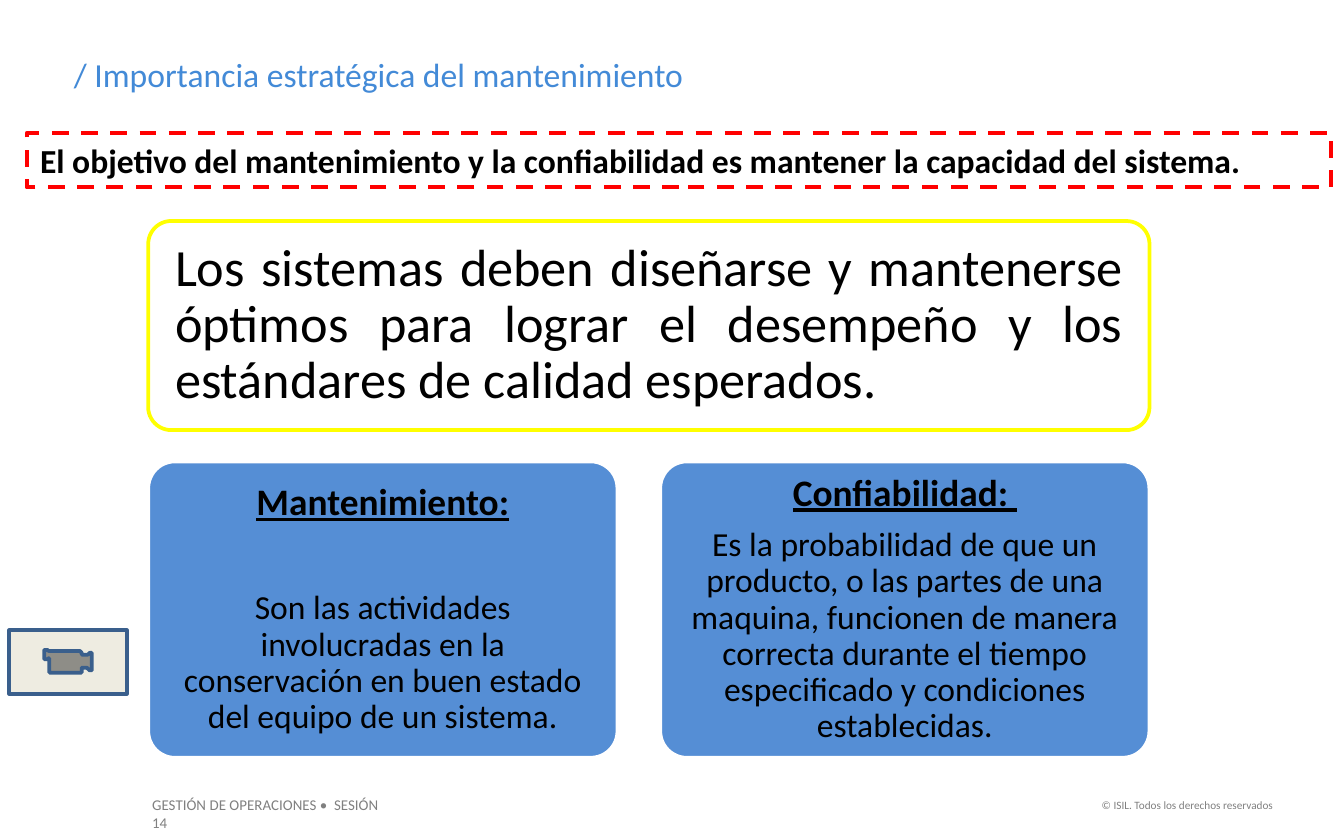
from pptx import Presentation
from pptx.dml.color import RGBColor as RGB
from pptx.enum.dml import MSO_LINE as Dash
from pptx.enum.shapes import MSO_SHAPE as Kind
from pptx.enum.text import MSO_ANCHOR as Anchor, MSO_AUTO_SIZE as Auto, PP_ALIGN as Align
from pptx.util import Pt

HUES = {
    "title": "438AD7", "text": "000000", "foot": "808080", "paper": "FFFFFF",
    "red": "FF0000", "gold": "FFFF00", "card": "558ED5",
    "beige": "EEECE1", "navy": "3A5F8C",
}


def write(frame, text, size=18, hue="text", bold=False, under=False,
          align=Align.LEFT, lead=1.0, after=0, anchor=Anchor.TOP, pad=(7.2, 3.6)):
    frame.word_wrap = True
    frame.auto_size = Auto.NONE
    frame.vertical_anchor = anchor
    frame.margin_left = frame.margin_right = Pt(pad[0])
    frame.margin_top = frame.margin_bottom = Pt(pad[1])
    para = frame.add_paragraph() if frame.text else frame.paragraphs[0]
    para.alignment = align
    para.line_spacing = lead
    para.space_before = Pt(0)
    para.space_after = Pt(after)
    run = para.add_run()
    run.text = text
    font = run.font
    font.name, font.size, font.bold, font.underline = "Calibri", Pt(size), bold, under
    font.color.rgb = RGB.from_string(HUES[hue])


def draw(kind, box, fill, line, width):
    shape = slide.shapes.add_shape(kind, *map(Pt, box))
    shape.shadow.inherit = False
    if fill:
        shape.fill.solid()
        shape.fill.fore_color.rgb = RGB.from_string(HUES[fill])
    else:
        shape.fill.background()
    shape.line.color.rgb = RGB.from_string(HUES[line])
    shape.line.width = Pt(width)
    return shape


deck = Presentation()
deck.slide_width, deck.slide_height = Pt(720), Pt(450)
slide = deck.slides.add_slide(deck.slide_layouts[5])

title = slide.shapes.title
title.left, title.top, title.width, title.height = map(Pt, (32.4, 25.2, 567.4, 29))
write(title.text_frame, "/ Importancia estratégica del mantenimiento", hue="title")

feet = [
    ("GESTIÓN DE OPERACIONES •  SESIÓN 14", (74.4, 422.6, 140, 17.3), 8, Align.LEFT),
    ("© ISIL. Todos los derechos reservados", (570, 424.1, 119, 14.4), 6, Align.RIGHT),
]
for text, box, size, align in feet:
    foot = slide.shapes.add_textbox(*map(Pt, box))
    write(foot.text_frame, text, size=size, hue="foot", align=align)

goal = draw(Kind.RECTANGLE, (14.4, 71.3, 698.8, 29.1), None, "red", 2.25)
goal.line.dash_style = Dash.DASH
write(goal.text_frame,
      "El objetivo del mantenimiento y la confiabilidad es mantener la capacidad del sistema.",
      bold=True, align=Align.JUSTIFY)

lead = draw(Kind.ROUNDED_RECTANGLE, (79.4, 118.4, 536.4, 112), "paper", "gold", 2)
lead.adjustments[0] = 0.11
write(lead.text_frame,
      "Los sistemas deben diseñarse y mantenerse óptimos para lograr el desempeño "
      "y los estándares de calidad esperados.",
      size=28, align=Align.JUSTIFY, lead=0.9, anchor=Anchor.MIDDLE, pad=(10.8, 10.8))

cards = [
    (79.4, 251.4, "Mantenimiento:", 36,
     "Son las actividades involucradas en la conservación en buen estado "
     "del equipo de un sistema."),
    (353.7, 262.1, "Confiabilidad: ", 7,
     "Es la probabilidad de que un producto, o las partes de una maquina, "
     "funcionen de manera correcta durante el tiempo especificado y condiciones "
     "establecidas."),
]
for left, width, head, gap, body in cards:
    card = draw(Kind.ROUNDED_RECTANGLE, (left, 247.2, width, 158.8), "card", "paper", 2)
    card.adjustments[0] = 0.09
    style = dict(align=Align.CENTER, lead=0.9, anchor=Anchor.MIDDLE, pad=(6.6, 6.6))
    write(card.text_frame, head, size=20, bold=True, under=True, after=gap, **style)
    write(card.text_frame, body, **style)

draw(Kind.ACTION_BUTTON_MOVIE, (5, 337.7, 62.9, 34), "beige", "navy", 2)

deck.save("out.pptx")
